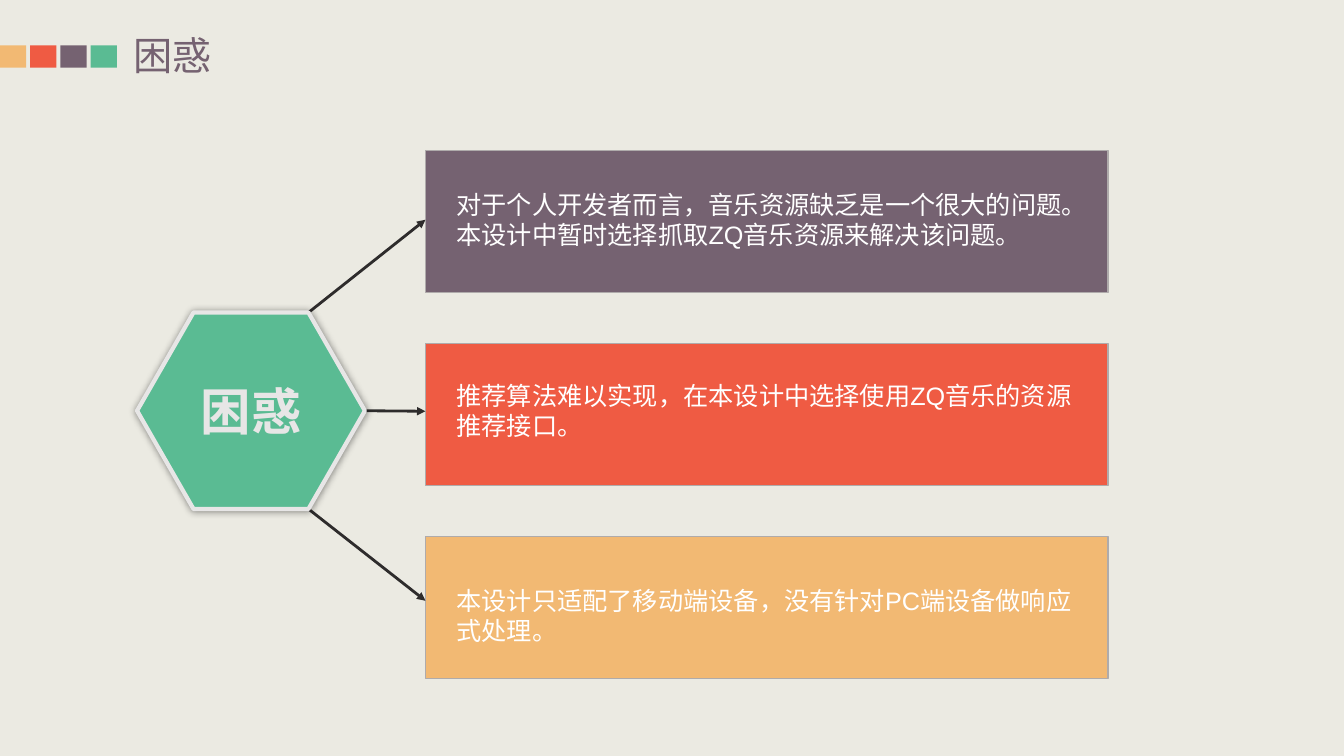
from lxml import etree
from pptx import Presentation
from pptx.dml.color import RGBColor
from pptx.enum.lang import MSO_LANGUAGE_ID as Language
from pptx.enum.shapes import MSO_CONNECTOR as Connector, MSO_SHAPE as Shape
from pptx.enum.text import MSO_ANCHOR as Anchor, PP_ALIGN as Align
from pptx.oxml import parse_xml
from pptx.oxml.ns import nsdecls, qn
from pptx.util import Inches, Pt

CREAM = RGBColor(0xEB, 0xEA, 0xE2)
ORANGE = RGBColor(0xF2, 0xB9, 0x73)
RED = RGBColor(0xEF, 0x5B, 0x43)
PURPLE = RGBColor(0x75, 0x62, 0x71)
GREEN = RGBColor(0x5A, 0xBB, 0x93)
WHITE = RGBColor(0xFF, 0xFF, 0xFF)
LIGHT_GREY = RGBColor(0xE7, 0xE6, 0xE6)
BORDER_GREY = RGBColor(0xAF, 0xAB, 0xAB)
ARROW_DARK = RGBColor(0x2E, 0x2C, 0x2C)
CHINESE_FONT = "Noto Sans CJK SC"

# Card text, fill, text offset from the card top, arrow end
CARDS = [
    ("对于个人开发者而言，音乐资源缺乏是一个很大的问题。本设计中暂时选择抓取ZQ音乐资源来解决该问题。",
     PURPLE, 0.34, 2.18),
    ("推荐算法难以实现，在本设计中选择使用ZQ音乐的资源推荐接口。", RED, 0.32, 4.08),
    ("本设计只适配了移动端设备，没有针对PC端设备做响应式处理。", ORANGE, 0.44, 5.96),
]


def format_text(text_frame, text, size, color, font="Arial", bold=False):
    text_frame.text = text
    text_frame.word_wrap = True
    run = text_frame.paragraphs[0].runs[0]
    run.font.size = Pt(size)
    run.font.bold = bold
    run.font.color.rgb = color
    run.font.language_id = Language.SIMPLIFIED_CHINESE
    run.font.name = font
    east_asian = etree.SubElement(run.font._element, qn("a:ea"))
    east_asian.set("typeface", CHINESE_FONT)


def add_filled_shape(slide, kind, box, fill, line=None, line_width=0):
    shape = slide.shapes.add_shape(kind, *map(Inches, box))
    shape.shadow.inherit = False
    shape.fill.solid()
    shape.fill.fore_color.rgb = fill
    if line is None:
        shape.line.fill.background()
    else:
        shape.line.color.rgb = line
        shape.line.width = Pt(line_width)
    return shape


def add_text(slide, box, text, size, color, bold=False):
    text_box = slide.shapes.add_textbox(*map(Inches, box))
    format_text(text_box.text_frame, text, size, color, bold=bold)
    return text_box


def add_header(slide, left, top):
    # Colour squares
    for index, color in enumerate((ORANGE, RED, PURPLE, GREEN)):
        add_filled_shape(slide, Shape.RECTANGLE, (left + index * 0.3, top + 0.14, 0.26, 0.22), color)
    # Title
    title = slide.shapes.title
    title.left, title.top, title.width, title.height = map(Inches, (left + 1.32, top, 3.99, 0.47))
    frame = title.text_frame
    frame.margin_left = frame.margin_right = frame.margin_top = frame.margin_bottom = 0
    frame.vertical_anchor = Anchor.TOP
    format_text(frame, "困惑", 28, PURPLE, CHINESE_FONT)
    frame.paragraphs[0].alignment = Align.LEFT


def add_cards(slide, left, top, width, height, pitch):
    for index, (text, fill, text_offset, _) in enumerate(CARDS):
        card_top = top + index * pitch
        add_filled_shape(slide, Shape.RECTANGLE, (left, card_top, width, height), fill, BORDER_GREY)
        add_text(slide, (left + 0.21, card_top + text_offset, 6.3, 0.71), text, 18, WHITE)


def add_arrow(slide, start, end):
    arrow = slide.shapes.add_connector(Connector.STRAIGHT, *map(Inches, start + end))
    arrow.line.color.rgb = ARROW_DARK
    arrow.line.width = Pt(0)
    etree.SubElement(arrow.line._get_or_add_ln(), qn("a:tailEnd")).set("type", "triangle")
    etree.SubElement(arrow._element.spPr, qn("a:effectLst"))


def add_hub(slide, left, top, width, height, arrow_end):
    middle, inset = top + height / 2, 0.56
    # Arrows from the right-hand corners to the cards
    corner = left + width - inset
    starts = [(corner, top), (left + width, middle), (corner, top + height)]
    for start, (_, _, _, end_top) in zip(starts, CARDS):
        add_arrow(slide, start, (arrow_end, end_top))
    # Hexagon with a soft glow of shadow
    hexagon = add_filled_shape(slide, Shape.HEXAGON, (left, top, width, height), GREEN, LIGHT_GREY, 3)
    hexagon.adjustments[0] = inset / height
    effects = hexagon._element.spPr.find(qn("a:effectLst"))
    effects.append(parse_xml(
        f'<a:outerShdw {nsdecls("a")} blurRad="{Pt(5)}" dist="0" algn="ctr" rotWithShape="0">'
        '<a:srgbClr val="000000"><a:alpha val="40000"/></a:srgbClr></a:outerShdw>'))
    # Label
    label_box = (left + (width - 1.64) / 2, middle - 0.35, 1.64, 0.71)
    label = add_text(slide, label_box, "困惑", 36, LIGHT_GREY, bold=True)
    label.text_frame.paragraphs[0].alignment = Align.CENTER


def main():
    presentation = Presentation()
    presentation.slide_width = Inches(13.33)
    presentation.slide_height = Inches(7.5)
    slide = presentation.slides.add_slide(presentation.slide_layouts[5])
    slide.background.fill.solid()
    slide.background.fill.fore_color.rgb = CREAM
    add_header(slide, 0, 0.31)
    add_cards(slide, 4.22, 1.49, 6.77, 1.41, 1.915)
    add_hub(slide, 1.36, 3.1, 2.26, 1.95, 4.22)
    presentation.save("out.pptx")


if __name__ == "__main__":
    main()
